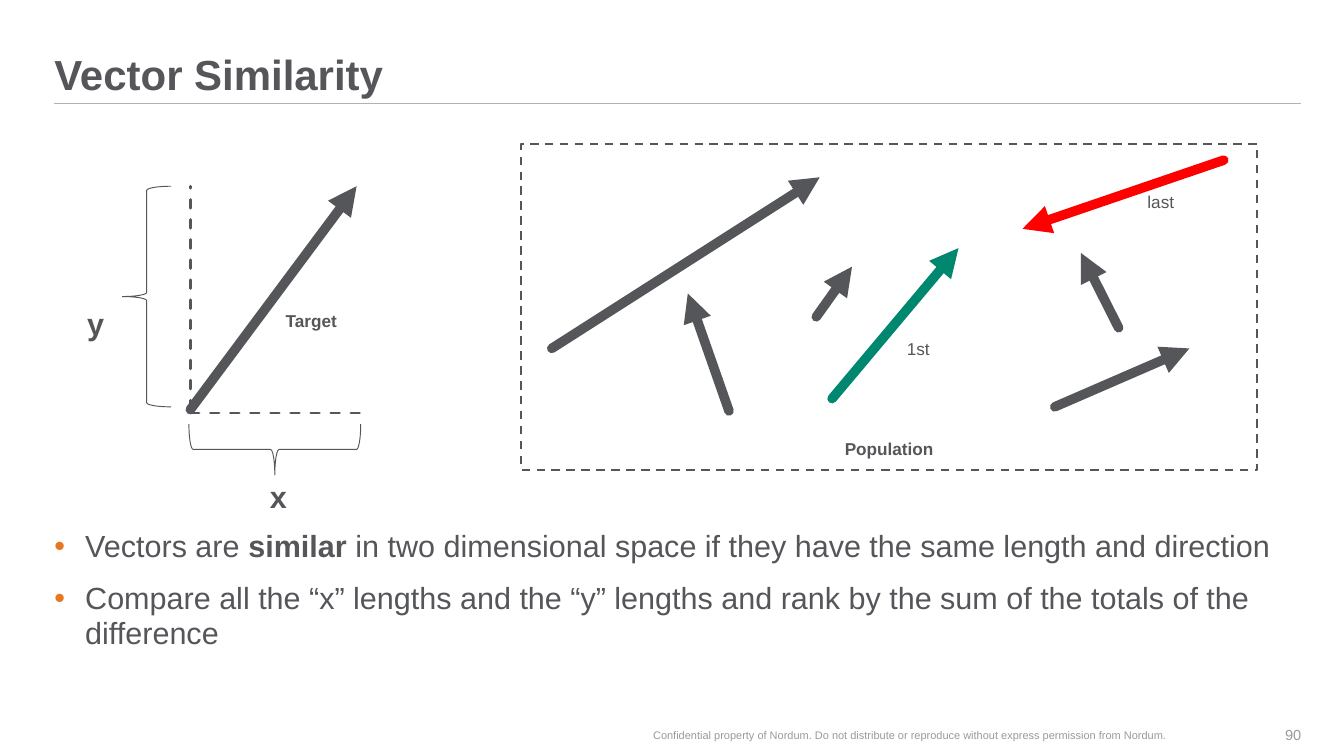
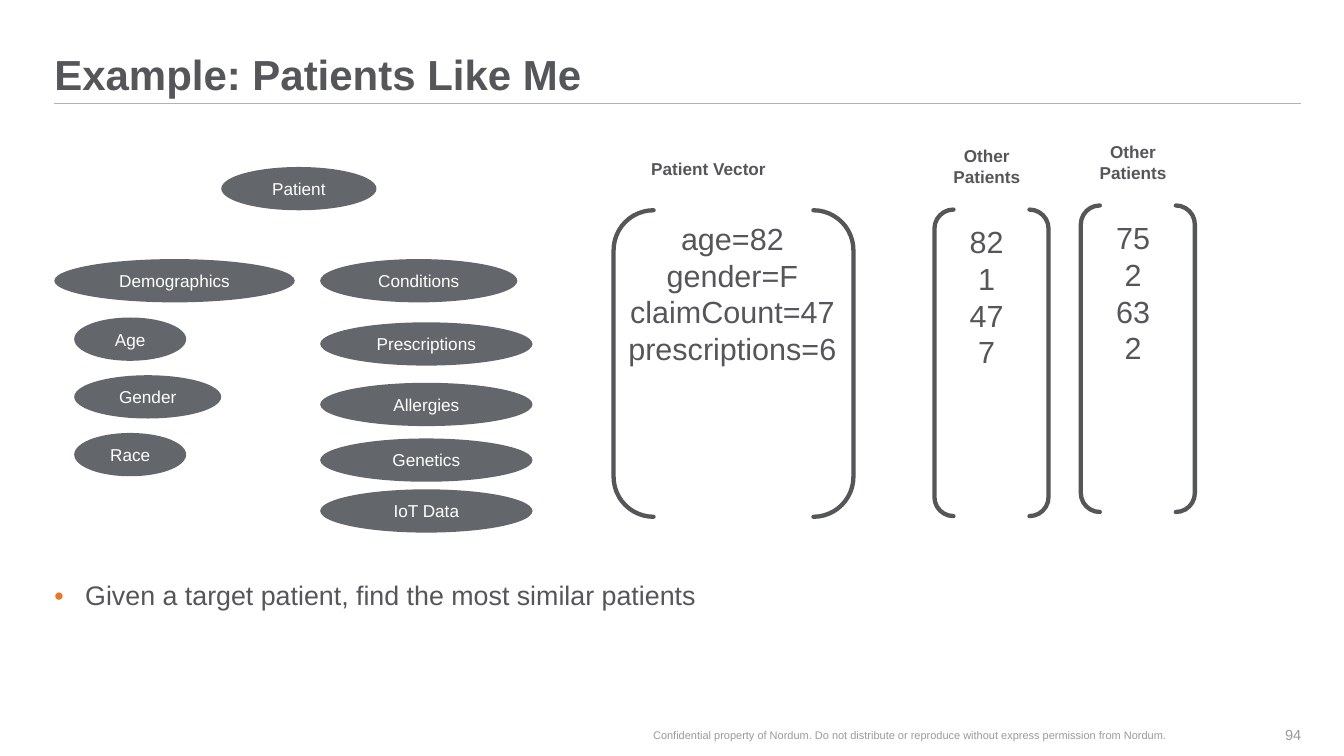
"""Build two slides on vector similarity and patients like me."""
from dataclasses import dataclass

from lxml.etree import SubElement
from pptx import Presentation
from pptx.dml.color import RGBColor
from pptx.enum.dml import MSO_LINE
from pptx.enum.shapes import MSO_CONNECTOR, MSO_SHAPE
from pptx.enum.text import MSO_ANCHOR, MSO_AUTO_SIZE, PP_ALIGN
from pptx.oxml.ns import qn
from pptx.util import Inches, Pt


@dataclass(frozen=True)
class Theme:
    font: str = "Arial"
    ink: str = "55565A"
    fill: str = "63666A"
    rule: str = "B1B3B3"
    faint: str = "999A9B"
    dot: str = "E87722"
    near: str = "008770"
    far: str = "FF0000"
    white: str = "FFFFFF"
    head: float = 44
    big: float = 32
    point: float = 28.1
    label: float = 18
    page: float = 15.3
    foot: float = 11.5
    thin: float = 1
    frame: float = 2.25
    axis: float = 3
    curve: float = 4.5
    arrow: float = 10


T = Theme()
LEFT, WIDE = 0.79, 18.15
FOOTER = ("Confidential property of Nordum. Do not distribute or reproduce "
          "without express permission from Nordum.")

VECTORS = [
    ((2.77, 5.96), (5.19, 2.71), T.ink),
    ((8.03, 5.07), (11.93, 2.58), T.ink),
    ((10.61, 5.98), (10.01, 4.27), T.ink),
    ((12.11, 5.8), (13.95, 3.61), T.near),
    ((15.35, 5.92), (17.31, 5.07), T.ink),
    ((17.81, 2.33), (14.88, 3.33), T.far),
    ((11.88, 4.61), (12.4, 3.88), T.ink),
    ((16.28, 4.77), (15.73, 3.68), T.ink),
]
AXES = [((2.77, 6.01), (5.37, 6.01)), ((2.77, 5.95), (2.77, 2.71))]
POOL = (7.58, 2.1, 10.72, 4.74)
BRACES = [((1.78, 2.71, 0.71, 3.21), 0), ((3.63, 5.29, 0.74, 2.5), 270)]
WRAPPED = [("Population", (11.73, 6.33, 2.42, 0.4)),
           ("Target", (3.74, 4.47, 1.58, 0.4))]
LOOSE = [
    ("y", (1.17, 4.39, 0.45, 0.64), T.big, True),
    ("x", (3.83, 6.91, 0.45, 0.64), T.big, True),
    ("1st", (13.1, 4.87, 0.54, 0.4), T.label, False),
    ("last", (16.6, 2.74, 0.59, 0.4), T.label, False),
]
RULES = [
    [("Vectors are ", False), ("similar", True),
     (" in two dimensional space if they have the same length and direction", False)],
    [("Compare all the “x” lengths and the “y” lengths and rank by the sum "
      "of the totals of the difference", False)],
]
GOAL = [[("Given a target patient, find the most similar patients", False)]]

OVAL = 0.63
OVALS = [
    ("Patient", 3.22, 2.43, 2.26),
    ("Demographics", LEFT, 3.77, 3.5),
    ("Conditions", 4.66, 3.77, 2.87),
]
OVALS += [(name, 1.08, 4.62 + 0.84 * i, wide) for i, (name, wide) in
          enumerate([("Age", 1.63), ("Gender", 2.14), ("Race", 1.63)])]
OVALS += [(name, 4.66, y, 3.09) for name, y in
          [("Prescriptions", 4.69), ("Allergies", 5.57),
           ("Genetics", 6.38), ("IoT Data", 7.12)]]

DEEP = 4.46
MAIN = {"frame": (8.93, 3.06, 3.49), "title": ["Patient Vector"],
        "head": (0.44, -0.81, 1.88, 0.4), "body": (0, 0.09, 3.46, 2.26),
        "values": ["age=82", "gender=F", "claimCount=47", "prescriptions=6"]}
OTHER = {"title": ["Other", "Patients"], "head": (0.17, -0.98, 1.18, 0.71),
         "body": (0.23, 0.15, 1.06, 2.26)}
COLUMNS = [
    MAIN,
    {**OTHER, "frame": (13.6, 3.05, 1.66), "values": ["82", "1", "47", "7"]},
    {**OTHER, "frame": (15.73, 2.99, 1.66), "values": ["75", "2", "63", "2"]},
]


def paint(run, size, color, bold=False):
    font = run.font
    font.name, font.size, font.bold = T.font, Pt(size), bold
    font.color.rgb = RGBColor.from_string(color)


def style(frame, size, color, bold, align):
    for para in frame.paragraphs:
        para.alignment = align
        for run in para.runs:
            paint(run, size, color, bold)


def block(slide, box, inset=True):
    frame = slide.shapes.add_textbox(*map(Inches, box)).text_frame
    frame.word_wrap = True
    if not inset:
        frame.margin_left = frame.margin_right = 0
        frame.margin_top = frame.margin_bottom = 0
    return frame


def fixed(slide, box, text, size, color, align, anchor, bold=False):
    frame = block(slide, box, inset=False)
    frame.text = text
    frame.vertical_anchor = anchor
    style(frame, size, color, bold, align)
    return frame


def label(slide, box, lines, size=T.label, bold=True, align=PP_ALIGN.CENTER, wrap=True):
    frame = block(slide, box)
    frame.text = "\n".join(lines)
    frame.word_wrap = wrap
    frame.auto_size = MSO_AUTO_SIZE.SHAPE_TO_FIT_TEXT
    style(frame, size, T.ink, bold, align)


def bullets(slide, box, items, size):
    frame = block(slide, box, inset=False)
    for i, parts in enumerate(items):
        para = frame.add_paragraph() if i else frame.paragraphs[0]
        props = para._p.get_or_add_pPr()
        props.set("marL", str(Inches(0.45)))
        props.set("indent", str(-Inches(0.45)))
        tint = SubElement(props, qn("a:buClr"))
        SubElement(tint, qn("a:srgbClr"), val=T.dot)
        SubElement(props, qn("a:buFont"), typeface=T.font)
        SubElement(props, qn("a:buChar"), char="•")
        para.line_spacing = 0.95
        para.space_before = Pt(10.2 if i else 0)
        para.space_after = Pt(7.7)
        for text, bold in parts:
            run = para.add_run()
            run.text = text
            paint(run, size, T.ink, bold)


def stroke(item, color, width, dash=False, cap=False):
    line = item.line
    line.color.rgb = RGBColor.from_string(color)
    line.width = Pt(width)
    if dash:
        line.dash_style = MSO_LINE.DASH
    if cap:
        line._get_or_add_ln().set("cap", "rnd")


def link(slide, start, end, color, width, dash=False, arrow=False):
    item = slide.shapes.add_connector(
        MSO_CONNECTOR.STRAIGHT, *map(Inches, (*start, *end)))
    stroke(item, color, width, dash, cap=arrow or dash)
    if arrow:
        SubElement(item.line._get_or_add_ln(), qn("a:tailEnd"), type="triangle")
    SubElement(item._element.spPr, qn("a:effectLst"))


def shape(slide, kind, box, fill=None):
    item = slide.shapes.add_shape(kind, *map(Inches, box))
    item.shadow.inherit = False
    if fill:
        item.fill.solid()
        item.fill.fore_color.rgb = RGBColor.from_string(fill)
        item.line.fill.background()
    else:
        item.fill.background()
    return item


def start(deck, title, number):
    slide = deck.slides.add_slide(deck.slide_layouts[6])
    link(slide, (LEFT, 1.5), (LEFT + WIDE, 1.5), T.rule, T.thin)
    head = fixed(slide, (LEFT, 0.63, WIDE, 0.82), title, T.head, T.ink,
                 PP_ALIGN.LEFT, MSO_ANCHOR.BOTTOM, bold=True)
    head.paragraphs[0].line_spacing = 0.9
    fixed(slide, (8.49, 10.4, 9.5, 0.59), FOOTER, T.foot, T.faint,
          PP_ALIGN.CENTER, MSO_ANCHOR.MIDDLE)
    fixed(slide, (18.07, 10.4, 0.87, 0.59), str(number), T.page, T.faint,
          PP_ALIGN.RIGHT, MSO_ANCHOR.MIDDLE)
    return slide


def vectors(deck):
    slide = start(deck, "Vector Similarity", 90)
    bullets(slide, (LEFT, 7.71, WIDE, 1.77), RULES, T.big)
    for tail, tip, color in VECTORS:
        link(slide, tail, tip, color, T.arrow, arrow=True)
    for tail, tip in AXES:
        link(slide, tail, tip, T.ink, T.axis, dash=True)
    stroke(shape(slide, MSO_SHAPE.RECTANGLE, POOL), T.ink, T.frame, dash=True)
    for box, turn in BRACES:
        brace = shape(slide, MSO_SHAPE.LEFT_BRACE, box)
        brace.rotation = turn
        stroke(brace, T.ink, T.thin)
    for text, box in WRAPPED:
        label(slide, box, [text])
    for text, box, size, bold in LOOSE:
        label(slide, box, [text], size, bold, PP_ALIGN.LEFT, wrap=False)


def patients(deck):
    slide = start(deck, "Example: Patients Like Me", 94)
    bullets(slide, (LEFT, 8.46, WIDE, 1), GOAL, T.point)
    for text, x, y, wide in OVALS:
        frame = shape(slide, MSO_SHAPE.OVAL, (x, y, wide, OVAL), T.fill).text_frame
        frame.text = text
        frame.vertical_anchor = MSO_ANCHOR.MIDDLE
        style(frame, T.label, T.white, False, PP_ALIGN.CENTER)
    for col in COLUMNS:
        x, y, wide = col["frame"]
        pair = shape(slide, MSO_SHAPE.DOUBLE_BRACKET, (x, y, wide, DEEP))
        stroke(pair, T.ink, T.curve, cap=True)
        head, body = [(x + dx, y + dy, w, h) for dx, dy, w, h in
                      (col["head"], col["body"])]
        label(slide, head, col["title"], wrap=False)
        label(slide, body, col["values"], T.big, bold=False)


def main():
    deck = Presentation()
    deck.slide_width, deck.slide_height = Inches(19.56), Inches(11)
    vectors(deck)
    patients(deck)
    deck.save("out.pptx")


if __name__ == "__main__":
    main()
